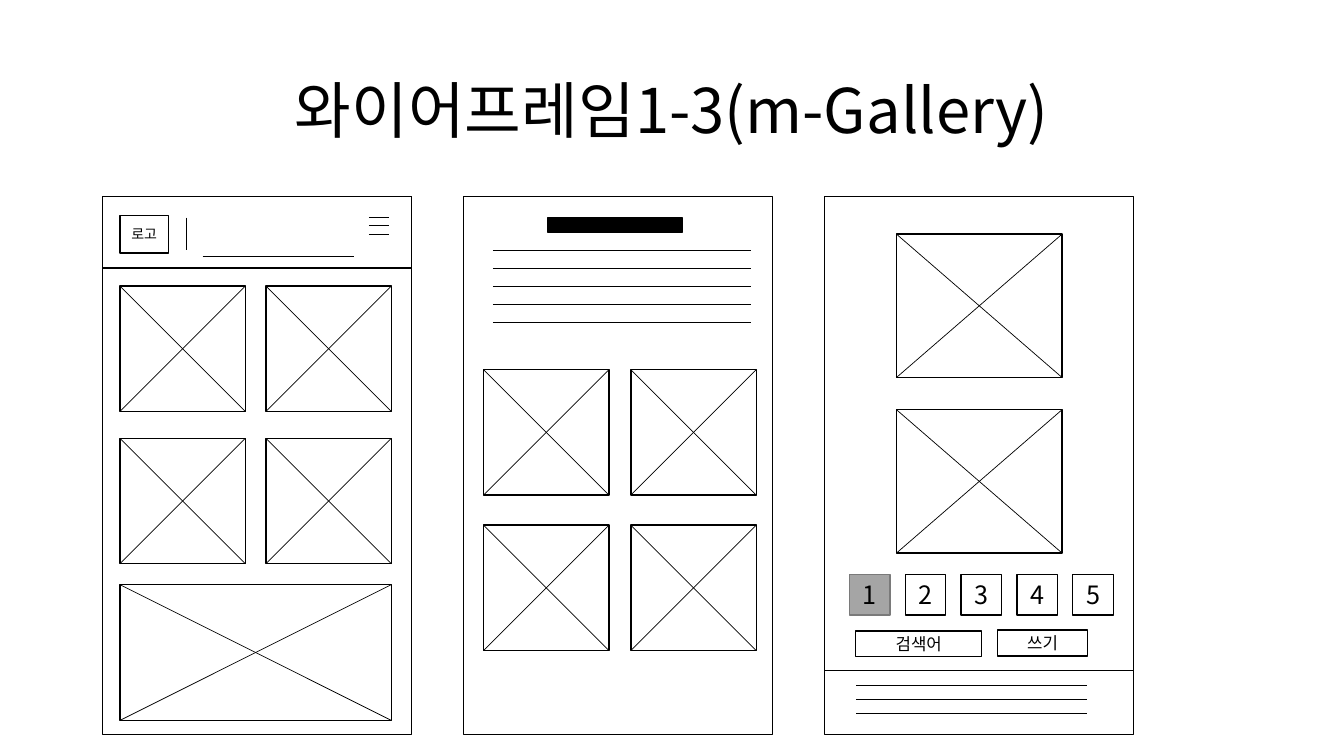
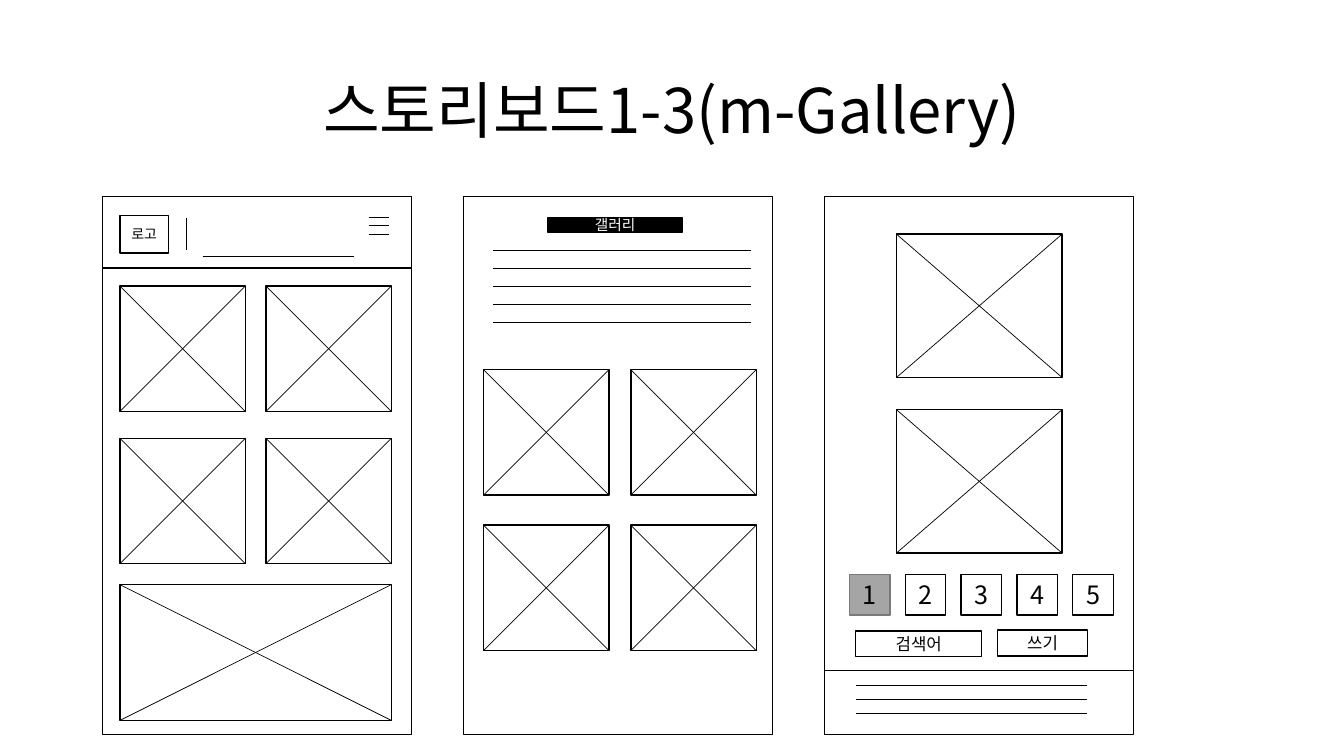
from itertools import product

from pptx import Presentation
from pptx.dml.color import RGBColor
from pptx.enum import shapes, text
from pptx.oxml import ns
from pptx.util import Pt
from lxml import etree

FONT = "Noto Sans CJK KR"
BLACK = "000000"
WHITE = "FFFFFF"
GRAY = "A5A5A5"
DARK_GRAY = "7A7A7A"
PHONE_LEFT, PHONE_TOP, PHONE_PITCH = 73.3, 140.4, 257.9
PHONE_WIDTH, PHONE_HEIGHT = 220.5, 384.5
TILE = 89.6


def color(value):
    return RGBColor.from_string(value)


def format_text(frame, size, ink):
    frame.vertical_anchor = text.MSO_ANCHOR.MIDDLE
    for paragraph in frame.paragraphs:
        paragraph.alignment = text.PP_ALIGN.CENTER
        for run in paragraph.runs:
            run.font.name = FONT
            run.font.size = Pt(size)
            run.font.color.rgb = color(ink)
            east_asian = etree.SubElement(run.font._element, ns.qn("a:ea"))
            east_asian.set("typeface", FONT)


def add_title(slide, wording):
    title = slide.shapes.title
    title.left, title.top, title.width, title.height = Pt(66), Pt(28.75), Pt(828), Pt(104.4)
    frame = title.text_frame
    frame.text = wording
    frame.auto_size = text.MSO_AUTO_SIZE.NONE
    frame.paragraphs[0].line_spacing = 0.9
    format_text(frame, 44, BLACK)


def add_box(parent, left, top, width, height, wording="", size=12,
            fill=WHITE, line=BLACK, ink=BLACK):
    shape = parent.shapes.add_shape(
        shapes.MSO_SHAPE.RECTANGLE, Pt(left), Pt(top), Pt(width), Pt(height))
    shape.shadow.inherit = False
    shape.fill.solid()
    shape.fill.fore_color.rgb = color(fill)
    shape.line.color.rgb = color(line)
    shape.line.width = Pt(1)
    if wording:
        frame = shape.text_frame
        frame.margin_left = frame.margin_right = frame.margin_top = frame.margin_bottom = 0
        frame.text = wording
        format_text(frame, size, ink)


def add_line(parent, start_x, start_y, end_x, end_y):
    connector = parent.shapes.add_connector(
        shapes.MSO_CONNECTOR.STRAIGHT, Pt(start_x), Pt(start_y), Pt(end_x), Pt(end_y))
    connector.line.color.rgb = color(BLACK)
    connector.line.width = Pt(0.5)
    etree.SubElement(connector._element.spPr, ns.qn("a:effectLst"))


def add_rules(slide, left, right, top, pitch, count):
    for index in range(count):
        y = top + index * pitch
        add_line(slide, left, y, right, y)


def add_image_box(slide, left, top, width, height):
    group = slide.shapes.add_group_shape()
    right, bottom = left + width, top + height
    add_box(group, left, top, width, height)
    add_line(group, left, bottom, right, top)
    add_line(group, left, top, right, bottom)


def add_tiles(slide, left, top, pitch_x, pitch_y):
    for row, column in product(range(2), repeat=2):
        add_image_box(slide, left + column * pitch_x, top + row * pitch_y, TILE, TILE)


def add_phone(slide, index):
    left = PHONE_LEFT + index * PHONE_PITCH
    add_box(slide, left, PHONE_TOP, PHONE_WIDTH, PHONE_HEIGHT)
    return left


def add_home_screen(slide):
    left = add_phone(slide, 0)
    add_box(slide, left, PHONE_TOP, PHONE_WIDTH, 51)
    add_box(slide, 85.7, 154.1, 34.6, 26.6, "로고", 10)
    add_line(slide, 133.3, 155.5, 133.3, 178.6)
    add_rules(slide, 263.5, 278, 155.5, 5.8, 3)
    add_line(slide, 144.7, 182.9, 252.7, 182.9)
    add_tiles(slide, 85.7, 204.3, 104.2, 108.8)
    add_image_box(slide, 85.7, 417.6, 193.8, 97)


def add_gallery_screen(slide, heading):
    add_phone(slide, 1)
    add_box(slide, 391.5, 155.5, 95.8, 10.4, heading, 10.5, fill=BLACK, ink=WHITE)
    add_rules(slide, 352.1, 536.2, 178.5, 13, 5)
    add_tiles(slide, 345.4, 264.1, 105.2, 111)


def add_list_screen(slide):
    left = add_phone(slide, 2)
    for row in range(2):
        add_image_box(slide, 640.3, 167.2 + row * 125.4, 118.4, 102.5)
    add_line(slide, left, 478.7, left + PHONE_WIDTH, 478.7)
    add_rules(slide, 611.5, 776.5, 489.6, 9.9, 3)
    for index in range(5):
        current = index == 0
        add_box(slide, 606.7 + index * 39.9, 410.2, 29, 29, str(index + 1), 18,
                fill=GRAY if current else WHITE, line=DARK_GRAY if current else BLACK)
    add_box(slide, 611.3, 450.6, 90, 18.4, "검색어")
    add_box(slide, 712.6, 450.1, 64.4, 18.4, "쓰기")


def main():
    presentation = Presentation()
    presentation.slide_width, presentation.slide_height = Pt(960), Pt(540)
    layout = presentation.slide_layouts.get_by_name("Title Only")
    for wording, heading in (("와이어프레임1-3(m-Gallery)", ""),
                             ("스토리보드1-3(m-Gallery)", "갤러리")):
        slide = presentation.slides.add_slide(layout)
        add_title(slide, wording)
        add_home_screen(slide)
        add_gallery_screen(slide, heading)
        add_list_screen(slide)
    presentation.save("out.pptx")


main()
